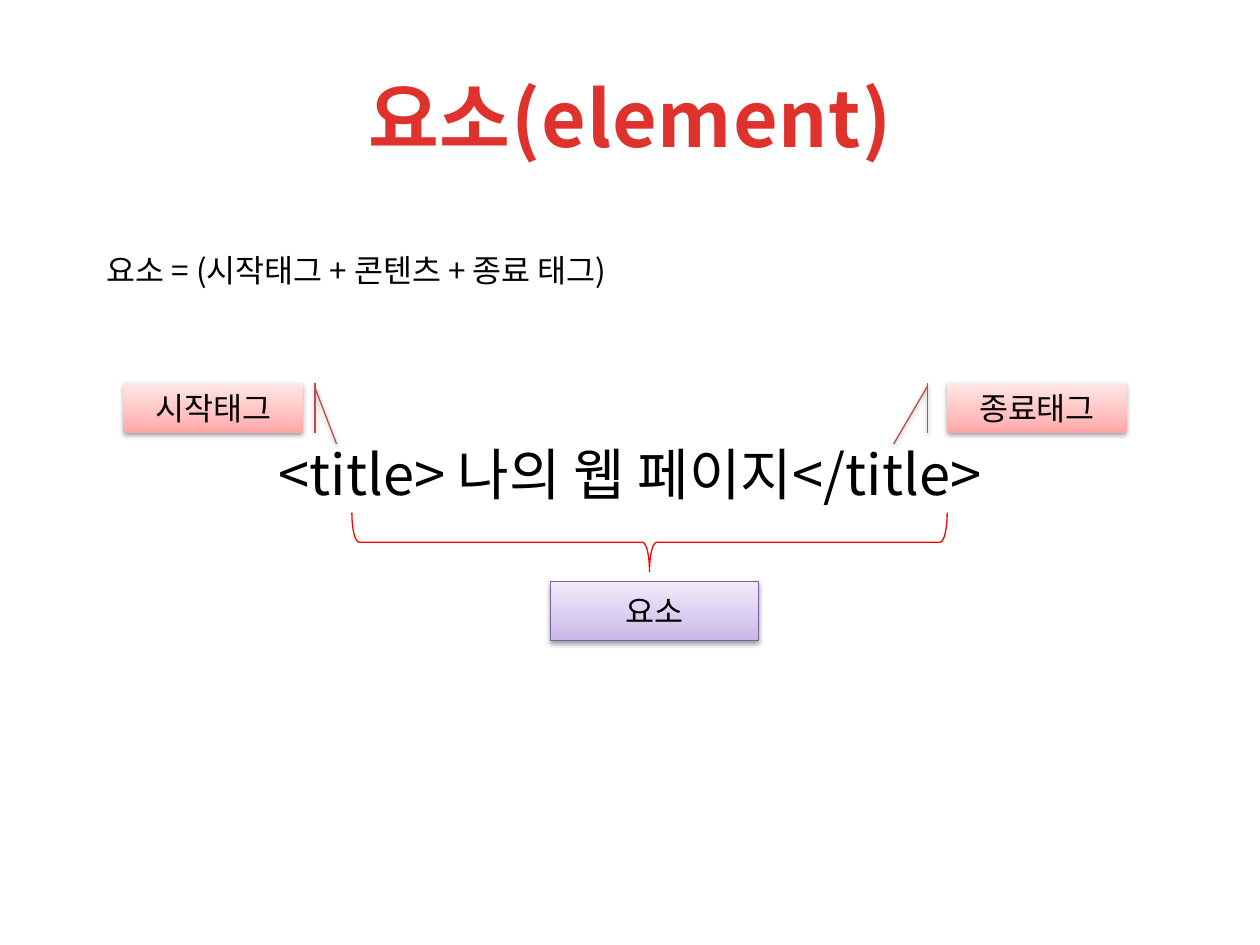
from lxml.etree import SubElement
from pptx import Presentation
from pptx.dml.color import RGBColor
from pptx.enum.shapes import MSO_SHAPE
from pptx.enum.text import MSO_ANCHOR, PP_ALIGN
from pptx.oxml.ns import qn
from pptx.util import Cm, Pt

FONT = "Noto Sans CJK KR"
LEFT, CENTER = PP_ALIGN.LEFT, PP_ALIGN.CENTER
TOP, MIDDLE = MSO_ANCHOR.TOP, MSO_ANCHOR.MIDDLE
RECTANGLE, BRACE = MSO_SHAPE.RECTANGLE, MSO_SHAPE.LEFT_BRACE
CALLOUT = MSO_SHAPE.LINE_CALLOUT_1_ACCENT_BAR
COLORS = {
    "title": "E0322D", "text": "000000", "brace": "FF0000", "shadow": "000000",
    "element_line": "7D60A0", "tag_line": "BF4C48",
}
GRADIENTS = {
    "element": {0: "C9B5E8", 35: "D8CBEE", 100: "F0EAF9"},
    "tag": {0: "FFA6A5", 35: "FFC0BF", 100: "FFE7E7"},
}


def write_text(frame, text, size=18, color="text", bold=False, align=CENTER,
               anchor=MIDDLE, spacing=0):
    frame.word_wrap = True
    frame.vertical_anchor = anchor
    paragraph = frame.paragraphs[0]
    paragraph.alignment = align
    run = paragraph.add_run()
    run.text = text
    run.font.name = FONT
    run.font.size = Pt(size)
    run.font.bold = bold
    run.font.color.rgb = RGBColor.from_string(COLORS[color])
    properties = run.font._element
    SubElement(properties, qn("a:ea"), typeface=FONT)
    if spacing:
        properties.set("spc", str(round(spacing * 100)))


class SlideBuilder:
    def __init__(self, slide):
        self.slide = slide

    def text(self, box, text, **style):
        area = self.slide.shapes.add_textbox(*map(Cm, box))
        write_text(area.text_frame, text, **style)

    def outline(self, kind, box, color, adjustments=()):
        shape = self.slide.shapes.add_shape(kind, *map(Cm, box))
        shape.shadow.inherit = False
        shape.line.color.rgb = RGBColor.from_string(COLORS[color])
        shape.line.width = Pt(0.75)
        for index, value in enumerate(adjustments):
            shape.adjustments[index] = value
        return shape

    def brace(self, box, adjustments):
        brace = self.outline(BRACE, box, "brace", adjustments)
        brace.fill.background()
        brace.rotation = 270

    def label(self, kind, box, text, theme, adjustments=()):
        label = self.outline(kind, box, f"{theme}_line", adjustments)
        self.apply_gradient(label, GRADIENTS[theme])
        self.apply_shadow(label)
        write_text(label.text_frame, text)

    def apply_gradient(self, shape, stops):
        shape.fill.gradient()
        shape.fill.gradient_angle = 90
        stop_list = shape._element.spPr.find(qn("a:gradFill")).find(qn("a:gsLst"))
        for stop in list(stop_list):
            stop_list.remove(stop)
        for position, color in stops.items():
            stop = SubElement(stop_list, qn("a:gs"), pos=str(position * 1000))
            SubElement(stop, qn("a:srgbClr"), val=color)

    def apply_shadow(self, shape):
        effects = shape._element.spPr.find(qn("a:effectLst"))
        shadow = SubElement(effects, qn("a:outerShdw"), blurRad=str(Pt(3.1)),
                            dist=str(Pt(1.6)), dir="5400000", rotWithShape="0")
        color = SubElement(shadow, qn("a:srgbClr"), val=COLORS["shadow"])
        SubElement(color, qn("a:alpha"), val="38000")


def main():
    deck = Presentation()
    deck.slide_width, deck.slide_height = Cm(25.4), Cm(19.05)
    builder = SlideBuilder(deck.slides.add_slide(deck.slide_layouts[6]))

    builder.text((1.27, 0.76, 22.86, 3.18), "요소(element)", size=44,
                 color="title", bold=True, spacing=0.5)
    builder.text((1.9, 4.93, 21.4, 1.02), "요소 = (시작태그 + 콘텐츠 + 종료 태그)",
                 align=LEFT, anchor=TOP)
    builder.text((3.1, 8.74, 19.2, 1.63), "<title> 나의 웹 페이지</title>",
                 size=32, anchor=TOP)
    builder.brace((12.5, 4.93, 1.19, 12), (0.12, 0.5))
    builder.label(RECTANGLE, (11.1, 11.73, 4.19, 1.19), "요소", "element")

    tags = (
        (2.49, "시작태그", (0.1, 1.07, 1.23, 1.19)),
        (19.1, "종료태그", (0.06, -0.11, 1.23, -0.3)),
    )
    for left, name, pointer in tags:
        builder.label(CALLOUT, (left, 7.72, 3.61, 1), name, "tag", pointer)

    deck.save("out.pptx")


if __name__ == "__main__":
    main()
